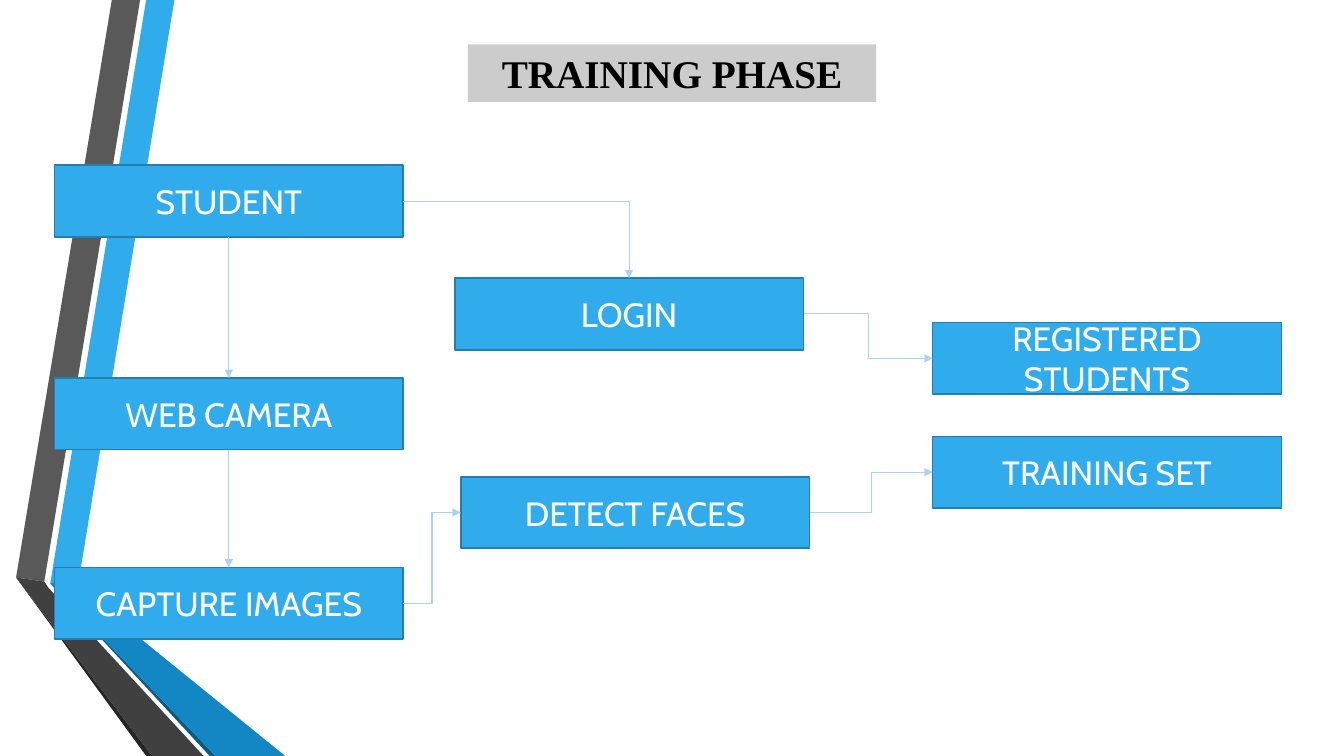
from lxml import etree
from pptx import Presentation
from pptx.dml.color import RGBColor
from pptx.enum import shapes, text
from pptx.oxml import ns
from pptx.util import Inches, Pt

BLUE = RGBColor(0x30, 0xAC, 0xEC)
BLUE_SHADE = RGBColor(0x12, 0x87, 0xC3)
BLUE_EDGE = RGBColor(0x0C, 0x5A, 0x82)
BOX_LINE = RGBColor(0x24, 0x7F, 0xAF)
ARROW = RGBColor(0xAE, 0xD2, 0xF4)
GRAY = RGBColor(0x59, 0x59, 0x59)
GRAY_SHADE = RGBColor(0x40, 0x40, 0x40)
GRAY_EDGE = RGBColor(0x26, 0x26, 0x26)
TITLE_FILL = RGBColor(0xCC, 0xCC, 0xCC)
WHITE = RGBColor(0xFF, 0xFF, 0xFF)
BLACK = RGBColor(0, 0, 0)

BOX_WIDTH, BOX_HEIGHT = 3.46, 0.71
TOP, LEFT, BOTTOM, RIGHT = range(4)

RIBBONS = [
    (BLUE, [(0.5, 5.78), (0.77, 5.83), (1.73, 0), (1.45, 0)]),
    (GRAY, [(1.39, 0), (1.11, 0), (0.16, 5.73), (0.44, 5.77)]),
    (GRAY_EDGE, [(0.16, 5.73), (1.45, 7.5), (1.51, 7.5)]),
    (BLUE_EDGE, [(0.5, 5.79), (2.08, 7.5), (2.14, 7.5)]),
    (BLUE_SHADE, [(0.5, 5.79), (2.14, 7.5), (2.83, 7.5), (0.77, 5.83), (0.5, 5.78)]),
    (GRAY_SHADE, [(2.02, 7.5), (0.48, 5.83), (0.44, 5.77), (0.16, 5.73), (1.51, 7.5)]),
]

STEPS = [
    ("CAPTURE IMAGES", 0.54, 5.63),
    ("WEB CAMERA", 0.54, 3.75),
    ("STUDENT", 0.54, 1.64),
    ("LOGIN", 4.51, 2.76),
    ("DETECT FACES", 4.57, 4.73),
    ("REGISTERED STUDENTS", 9.25, 3.2),
    ("TRAINING SET", 9.25, 4.33),
]

FLOWS = [
    ("STUDENT", BOTTOM, "WEB CAMERA", TOP, "line"),
    ("WEB CAMERA", BOTTOM, "CAPTURE IMAGES", TOP, "line"),
    ("STUDENT", RIGHT, "LOGIN", TOP, "bentConnector2"),
    ("CAPTURE IMAGES", RIGHT, "DETECT FACES", LEFT, "bentConnector3"),
    ("LOGIN", RIGHT, "REGISTERED STUDENTS", LEFT, "bentConnector3"),
    ("DETECT FACES", RIGHT, "TRAINING SET", LEFT, "bentConnector3"),
]


def add_ribbon(slide, color, points):
    """Draw one filled polygon of the side decoration."""
    corners = [(Inches(x), Inches(y)) for x, y in points]
    builder = slide.shapes.build_freeform(*corners[0])
    builder.add_line_segments(corners[1:], close=True)
    shape = builder.convert_to_shape()
    shape.shadow.inherit = False
    shape.fill.solid()
    shape.fill.fore_color.rgb = color
    shape.line.fill.background()


def add_box(slide, label, left, top, width, height, fill, font_name, size, color):
    """Draw a filled rectangle with one centred run of text and return it."""
    shape = slide.shapes.add_shape(
        shapes.MSO_SHAPE.RECTANGLE,
        Inches(left), Inches(top), Inches(width), Inches(height),
    )
    shape.shadow.inherit = False
    shape.fill.solid()
    shape.fill.fore_color.rgb = fill
    shape.line.fill.background()
    frame = shape.text_frame
    frame.word_wrap = True
    frame.vertical_anchor = text.MSO_ANCHOR.MIDDLE
    paragraph = frame.paragraphs[0]
    paragraph.alignment = text.PP_ALIGN.CENTER
    run = paragraph.add_run()
    run.text = label
    run.font.name = font_name
    run.font.size = Pt(size)
    run.font.color.rgb = color
    return shape


def add_step(slide, label, left, top):
    """Draw one step of the flow and return its box."""
    box = add_box(slide, label, left, top, BOX_WIDTH, BOX_HEIGHT,
                  BLUE, "Cabin", 24, WHITE)
    box.line.color.rgb = BOX_LINE
    box.line.width = Pt(1.25)
    return box


def add_title(slide):
    """Draw the title bar."""
    bar = add_box(slide, "TRAINING PHASE", 4.64, 0.44, 4.05, 0.57,
                  TITLE_FILL, "Times New Roman", 28, BLACK)
    bar.text_frame.paragraphs[0].runs[0].font.bold = True


def add_flow(slide, source, source_side, target, target_side, preset):
    """Join two boxes with an arrow of the given preset geometry."""
    kind = shapes.MSO_CONNECTOR.STRAIGHT if preset == "line" else shapes.MSO_CONNECTOR.ELBOW
    connector = slide.shapes.add_connector(kind, 0, 0, 0, 0)
    connector.begin_connect(source, source_side)
    connector.end_connect(target, target_side)
    connector.line.color.rgb = ARROW
    connector.line.width = Pt(0.75)
    properties = connector._element.spPr
    properties.find(ns.qn("a:prstGeom")).set("prst", preset)
    line = properties.find(ns.qn("a:ln"))
    etree.SubElement(line, ns.qn("a:tailEnd"), type="triangle")
    etree.SubElement(properties, ns.qn("a:effectLst"))


def main():
    """Build the training phase slide and save it."""
    presentation = Presentation()
    presentation.slide_width = Inches(13.33)
    presentation.slide_height = Inches(7.5)
    slide = presentation.slides.add_slide(presentation.slide_layouts[6])
    for color, points in RIBBONS:
        add_ribbon(slide, color, points)
    boxes = {label: add_step(slide, label, left, top) for label, left, top in STEPS}
    for source, source_side, target, target_side, preset in FLOWS:
        add_flow(slide, boxes[source], source_side, boxes[target], target_side, preset)
    add_title(slide)
    presentation.save("out.pptx")


if __name__ == "__main__":
    main()
